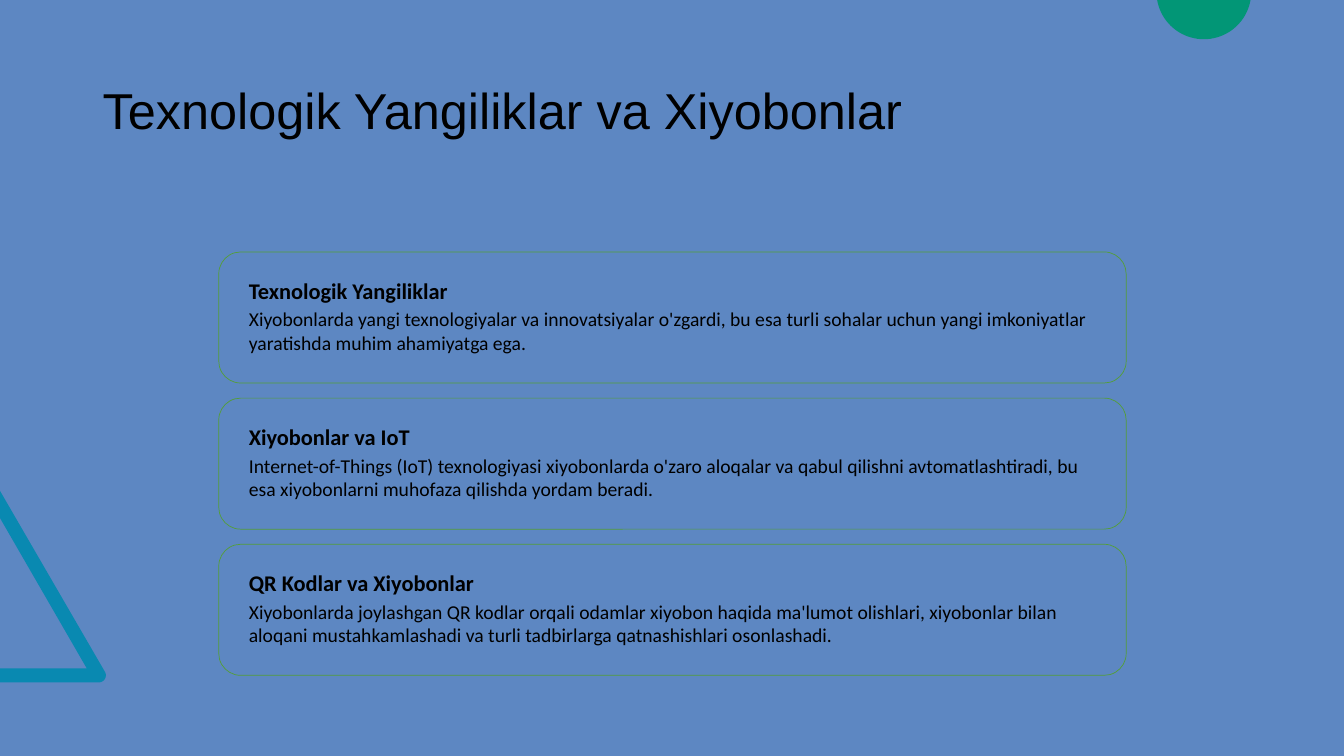
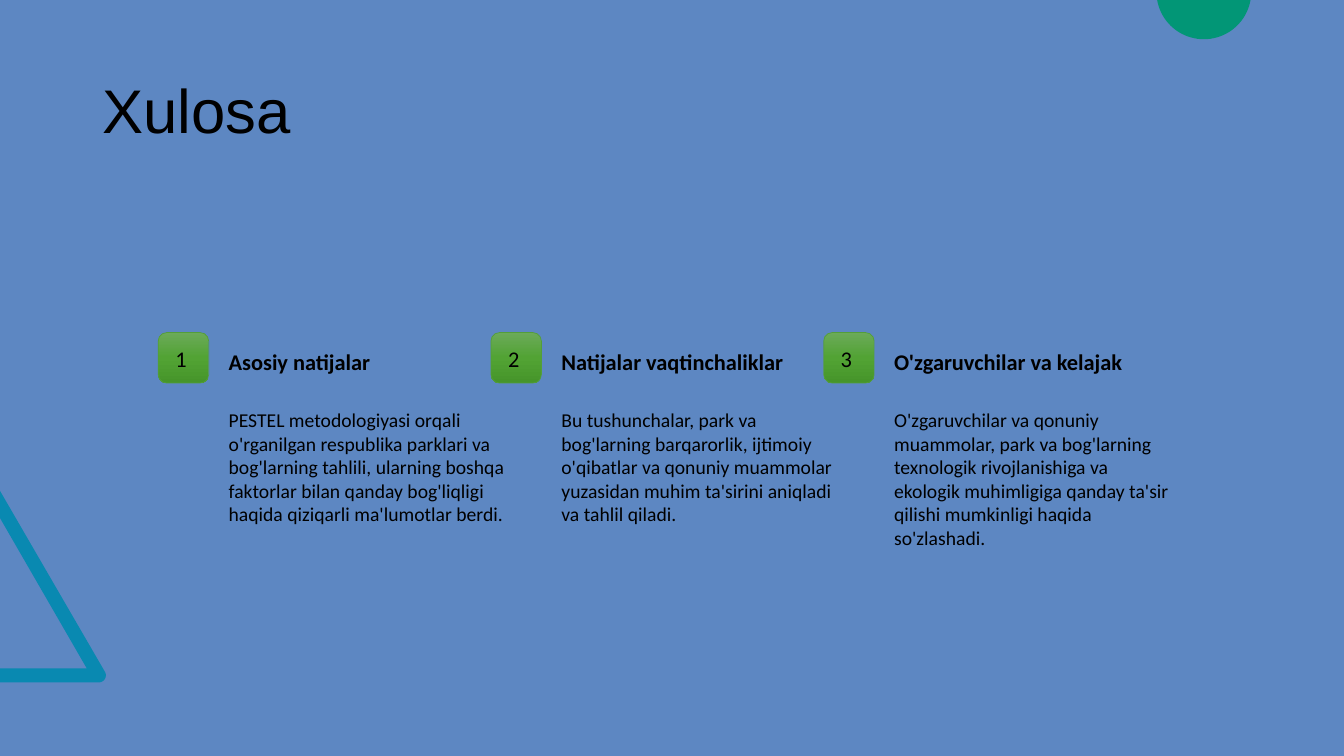
"""Build two slides on park technology and conclusions."""
from copy import deepcopy
from math import cos, radians, sin

from pptx import Presentation
from pptx import util as u
from pptx.dml.color import RGBColor
from pptx.enum import shapes, text
from pptx.oxml.ns import qn

WIDTH, HEIGHT = 13.33, 7.5
BACKGROUND, BLACK, GREEN = "5D87C2", "000000", "549E39"
TRIANGLE, CIRCLE = "0989B1", "029676"
BADGE_STOPS = [(0, "6BAA59"), (0.5, "52A334"), (1, "46952A")]

CARDS = [
    ("Texnologik Yangiliklar",
     "Xiyobonlarda yangi texnologiyalar va innovatsiyalar o'zgardi, bu esa turli sohalar uchun "
     "yangi imkoniyatlar yaratishda muhim ahamiyatga ega."),
    ("Xiyobonlar va IoT",
     "Internet-of-Things (IoT) texnologiyasi xiyobonlarda o'zaro aloqalar va qabul qilishni "
     "avtomatlashtiradi, bu esa xiyobonlarni muhofaza qilishda yordam beradi."),
    ("QR Kodlar va Xiyobonlar",
     "Xiyobonlarda joylashgan QR kodlar orqali odamlar xiyobon haqida ma'lumot olishlari, "
     "xiyobonlar bilan aloqani mustahkamlashadi va turli tadbirlarga qatnashishlari osonlashadi."),
]
CONCLUSIONS = [
    ("Asosiy natijalar",
     "PESTEL metodologiyasi orqali o'rganilgan respublika parklari va bog'larning tahlili, "
     "ularning boshqa faktorlar bilan qanday bog'liqligi haqida qiziqarli ma'lumotlar berdi."),
    ("Natijalar vaqtinchaliklar",
     "Bu tushunchalar, park va bog'larning barqarorlik, ijtimoiy o'qibatlar va qonuniy "
     "muammolar yuzasidan muhim ta'sirini aniqladi va tahlil qiladi."),
    ("O'zgaruvchilar va kelajak",
     "O'zgaruvchilar va qonuniy muammolar, park va bog'larning texnologik rivojlanishiga va "
     "ekologik muhimligiga qanday ta'sir qilishi mumkinligi haqida so'zlashadi."),
]


def color(value):
    return RGBColor.from_string(value)


def inches(*values):
    return [u.Inches(value) for value in values]


def add_text(page, words, place, size, bold=False, font="Calibri"):
    frame = page.shapes.add_textbox(*inches(*place)).text_frame
    frame.word_wrap = True
    frame.text = words
    para = frame.paragraphs[0]
    para.font.name, para.font.size, para.font.bold = font, u.Pt(size), bold
    para.font.color.rgb = color(BLACK)
    return frame


def add_box(page, place):
    box = page.shapes.add_shape(shapes.MSO_SHAPE.ROUNDED_RECTANGLE, *inches(*place))
    box.shadow.inherit = False
    box.fill.background()
    box.line.color.rgb = color(GREEN)
    box.line.width = u.Pt(0.5)
    return box


def arc(x, y, radius, start, end, steps=40):
    angles = [radians(start + (end - start) * step / steps) for step in range(steps + 1)]
    return [(x + radius * cos(angle), y + radius * sin(angle)) for angle in angles]


def add_outline(page, points, fill):
    first, *rest = [inches(*point) for point in points]
    builder = page.shapes.build_freeform(*first)
    builder.add_line_segments(rest, close=True)
    outline = builder.convert_to_shape()
    outline.shadow.inherit = False
    outline.fill.solid()
    outline.fill.fore_color.rgb = color(fill)
    outline.line.fill.background()


def add_page(deck, title, size):
    page = deck.slides.add_slide(deck.slide_layouts[6])
    corner = arc(0.98, 6.7, 0.07, -30, 90)
    add_outline(page, [(0, 6.77), (0, 6.63), (0.86, 6.63), (0, 5.14), (0, 4.87)] + corner, TRIANGLE)
    add_outline(page, arc(11.94, -0.08, 0.47, 10, 170), CIRCLE)
    frame = add_text(page, title, (0.92, 0.4, 11.5, 1.45), size, font="Arial")
    frame.vertical_anchor = text.MSO_ANCHOR.MIDDLE
    frame.paragraphs[0].line_spacing = 0.9
    return page


def add_badge(page, left, top, number):
    badge = add_box(page, (left, top, 0.5, 0.5))
    badge.fill.gradient()
    stop_list = badge._element.find(".//" + qn("a:gsLst"))
    stop_list.insert(1, deepcopy(stop_list[0]))
    for stop, (position, value) in zip(badge.fill.gradient_stops, BADGE_STOPS):
        stop.position, stop.color.rgb = position, color(value)
    badge.fill.gradient_angle = 270
    add_text(page, str(number), (left + 0.07, top + 0.07, 0.35, 0.35), 16)


def main():
    deck = Presentation()
    deck.slide_width, deck.slide_height = inches(WIDTH, HEIGHT)
    backdrop = deck.slide_master.background.fill
    backdrop.solid()
    backdrop.fore_color.rgb = color(BACKGROUND)

    page = add_page(deck, "Texnologik Yangiliklar va Xiyobonlar", 36)
    for row, (heading, body) in enumerate(CARDS):
        left, top = 2.17, 2.5 + 1.45 * row
        add_box(page, (left, top, 9, 1.3))
        add_text(page, heading, (left + 0.2, top + 0.2, 8.6, 0.36), 16, bold=True)
        add_text(page, body, (left + 0.2, top + 0.5, 8.6, 0.54), 14)

    page = add_page(deck, "Xulosa", 44)
    for column, (heading, body) in enumerate(CONCLUSIONS):
        left, top = 1.57 + 3.3 * column, 3.3
        add_badge(page, left, top, column + 1)
        add_text(page, heading, (left + 0.6, top + 0.1, 2.7, 0.36), 16, bold=True)
        add_text(page, body, (left + 0.6, top + 0.7, 3, 1.43), 14)

    deck.save("out.pptx")


if __name__ == "__main__":
    main()
